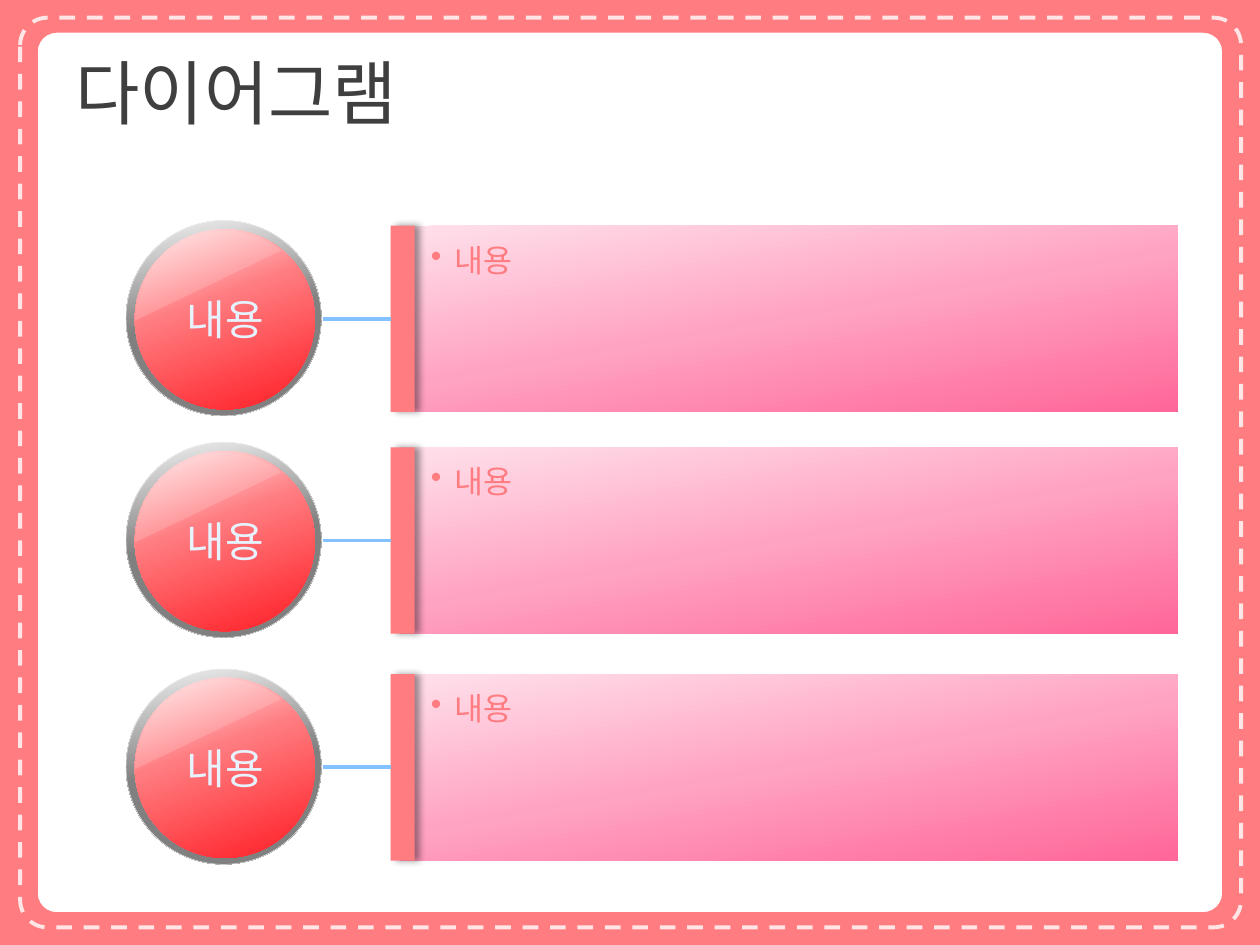
"""Build a slide with three labelled spheres, each joined to a content panel."""
from math import cos, radians, sin

from pptx import Presentation
from pptx.dml.color import RGBColor
from pptx.enum.dml import MSO_LINE
from pptx.enum.shapes import MSO_CONNECTOR, MSO_SHAPE
from pptx.enum.text import MSO_ANCHOR, MSO_AUTO_SIZE, PP_ALIGN
from pptx.oxml import parse_xml
from pptx.oxml.ns import nsdecls, qn
from pptx.util import Inches, Pt

OVAL, CHORD, RECTANGLE = MSO_SHAPE.OVAL, MSO_SHAPE.CHORD, MSO_SHAPE.RECTANGLE
ROUNDED, STRAIGHT = MSO_SHAPE.ROUNDED_RECTANGLE, MSO_CONNECTOR.STRAIGHT
LEFT, CENTER = PP_ALIGN.LEFT, PP_ALIGN.CENTER
TOP, MIDDLE = MSO_ANCHOR.TOP, MSO_ANCHOR.MIDDLE

CORAL = RGBColor(0xFF, 0x7C, 0x80)
BLUSH = RGBColor(0xFF, 0xE5, 0xE6)
CHARCOAL = RGBColor(0x3F, 0x3F, 0x3F)
SILVER = RGBColor(0xF2, 0xF2, 0xF2)
GRAY = RGBColor(0x80, 0x80, 0x80)
PALE_RED = RGBColor(0xFF, 0xF2, 0xF2)
RED = RGBColor(0xFF, 0x1D, 0x24)
ICE = RGBColor(0xE6, 0xF3, 0xFF)
SKY = RGBColor(0x84, 0xC1, 0xFF)
PALE_PINK = RGBColor(0xFF, 0xE0, 0xEB)
PINK = RGBColor(0xFF, 0xA3, 0xC2)
DEEP_PINK = RGBColor(0xFF, 0x66, 0x99)

RIM_STOPS = ((0, SILVER), (50, GRAY), (100, GRAY))
BALL_STOPS = ((0, PALE_RED), (40, CORAL), (100, RED))
PANEL_STOPS = ((0, PALE_PINK), (50, PINK), (100, DEEP_PINK))


def write(shape, text, size, color, align=LEFT, anchor=MIDDLE, bullet=False, wrap=True):
    frame = shape.text_frame
    frame.word_wrap = wrap
    frame.vertical_anchor = anchor
    para = frame.paragraphs[0]
    para.alignment = align
    if bullet:
        properties = para._p.get_or_add_pPr()
        properties.set("marL", str(Inches(0.19)))
        properties.set("indent", str(Inches(-0.19)))
        properties.append(parse_xml(f'<a:buChar {nsdecls("a")} char="•"/>'))
    span = para.add_run()
    span.text = text
    span.font.name = "Arial"
    span.font.size = Pt(size)
    span.font.color.rgb = color


def add_piece(kind, left, top, width, height, color=None, stops=(), angle=0):
    shape = page.shapes.add_shape(kind, Inches(left), Inches(top), Inches(width), Inches(height))
    shape.shadow.inherit = False
    shape.line.fill.background()
    shape.fill.background()
    if color is not None:
        shape.fill.solid()
        shape.fill.fore_color.rgb = color
    if stops:
        marks = "".join(
            f'<a:gs pos="{place * 1000}"><a:srgbClr val="{tint}"/></a:gs>' for place, tint in stops
        )
        gradient = parse_xml(
            f'<a:gradFill {nsdecls("a")} rotWithShape="1"><a:gsLst>{marks}</a:gsLst>'
            f'<a:lin ang="{angle * 60000}" scaled="0"/></a:gradFill>'
        )
        properties = shape._element.spPr
        properties.replace(properties.find(qn("a:noFill")), gradient)
    return shape


deck = Presentation()
deck.slide_width, deck.slide_height = Inches(10), Inches(7.5)
page = deck.slides.add_slide(deck.slide_layouts[5])

radius = 0.15
corners = ((9.55, 7.09, 0), (0.45, 7.09, 90), (0.45, 0.41, 180), (9.55, 0.41, 270))
opening = [
    (Inches(x + radius * cos(radians(start + step))), Inches(y + radius * sin(radians(start + step))))
    for x, y, start in corners
    for step in range(0, 91, 15)
]
builder = page.shapes.build_freeform(0, 0)
builder.add_line_segments(
    [(0, Inches(7.5)), (Inches(10), Inches(7.5)), (Inches(10), 0)], close=True
)
builder.move_to(*opening[0])
builder.add_line_segments(opening[1:], close=True)
border = builder.convert_to_shape()
border.shadow.inherit = False
border.fill.solid()
border.fill.fore_color.rgb = CORAL
border.line.fill.background()

stitching = add_piece(ROUNDED, 0.16, 0.14, 9.69, 7.22)
stitching.adjustments[0] = 0.03
stitching.line.color.rgb = BLUSH
stitching.line.width = Pt(2.25)
stitching.line.dash_style = MSO_LINE.DASH

title = page.shapes.title
title.left, title.top = Inches(0.5), Inches(0.3)
title.width, title.height = Inches(9), Inches(0.85)
write(title, "다이어그램", 40, CHARCOAL)

for middle in (2.53, 4.29, 6.09):
    rim = add_piece(OVAL, 1, middle - 0.78, 1.55, 1.55, stops=RIM_STOPS, angle=80)
    rim.line.color.rgb = SILVER
    rim.line.width = Pt(0.25)
    add_piece(OVAL, 1.07, middle - 0.71, 1.43, 1.43, stops=BALL_STOPS, angle=70)

    gloss = add_piece(CHORD, 1.07, middle - 0.7, 1.43, 1.43, color=BLUSH)
    gloss.rotation = 90
    gloss.adjustments[0], gloss.adjustments[1] = 53.95, 131.3
    tint = gloss._element.spPr.find(qn("a:solidFill"))[0]
    tint.append(parse_xml(f'<a:alpha {nsdecls("a")} val="20000"/>'))

    label = page.shapes.add_textbox(Inches(1.36), Inches(middle - 0.25), Inches(0.86), Inches(0.5))
    write(label, "내용", 24, ICE, align=CENTER, wrap=False)
    label.text_frame.auto_size = MSO_AUTO_SIZE.SHAPE_TO_FIT_TEXT

    panel = add_piece(RECTANGLE, 3.18, middle - 0.74, 6.17, 1.48, stops=PANEL_STOPS, angle=80)
    panel.text_frame.margin_left, panel.text_frame.margin_top = Inches(0.24), Inches(0.12)
    write(panel, "내용", 18, CORAL, anchor=TOP, bullet=True)

    bar = add_piece(RECTANGLE, 3.1, middle - 0.74, 0.19, 1.48, color=CORAL)
    bar._element.spPr.find(qn("a:effectLst")).append(parse_xml(
        f'<a:outerShdw {nsdecls("a")} blurRad="{Pt(4)}" dist="{Pt(3)}" dir="0" algn="l" '
        'rotWithShape="0"><a:srgbClr val="000000"><a:alpha val="40000"/></a:srgbClr></a:outerShdw>'
    ))

    link = page.shapes.add_connector(
        STRAIGHT, Inches(2.56), Inches(middle), Inches(3.1), Inches(middle)
    )
    link.line.color.rgb = SKY
    link.line.width = Pt(2.25)
    link._element.spPr.append(parse_xml(f'<a:effectLst {nsdecls("a")}/>'))

deck.save("out.pptx")
